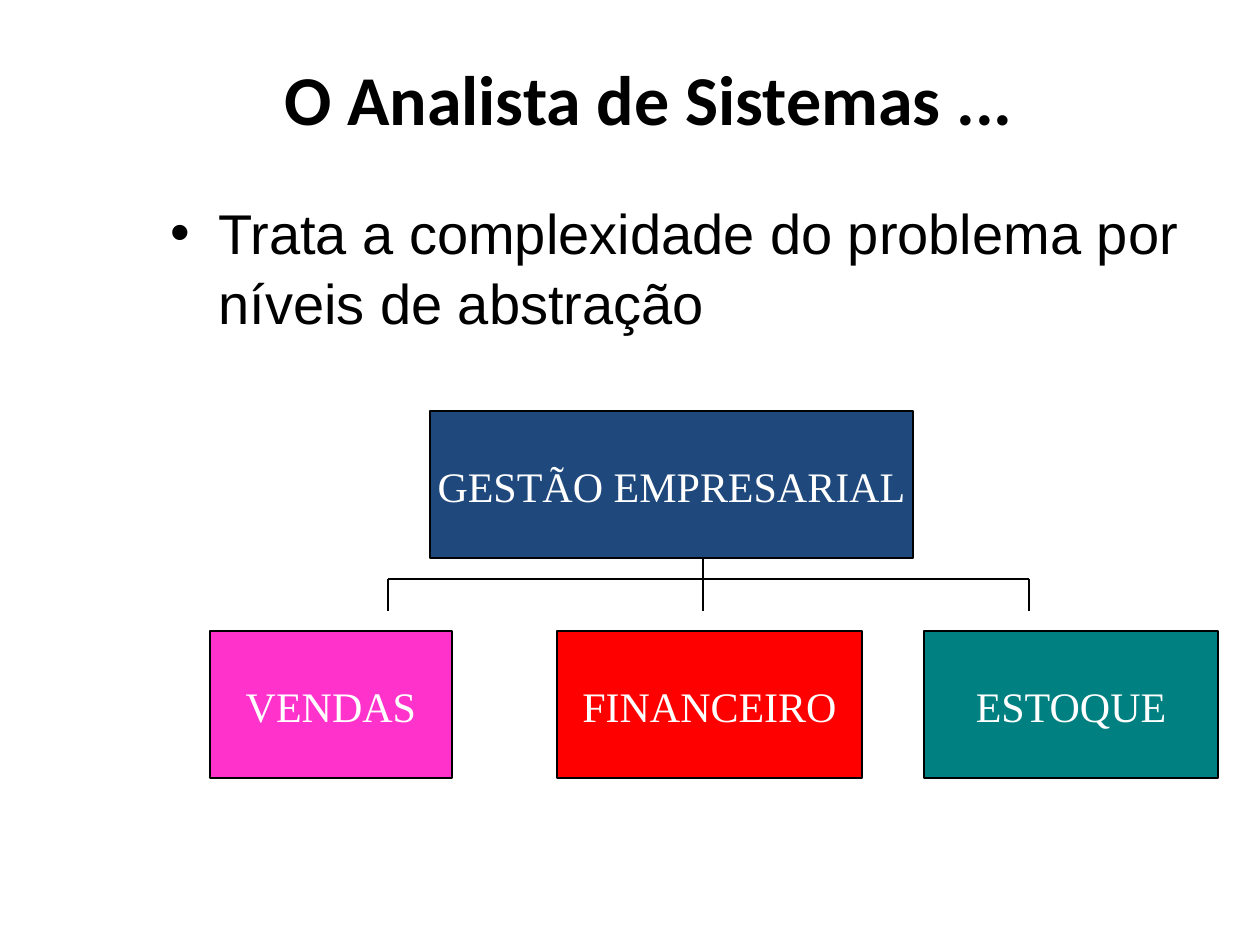
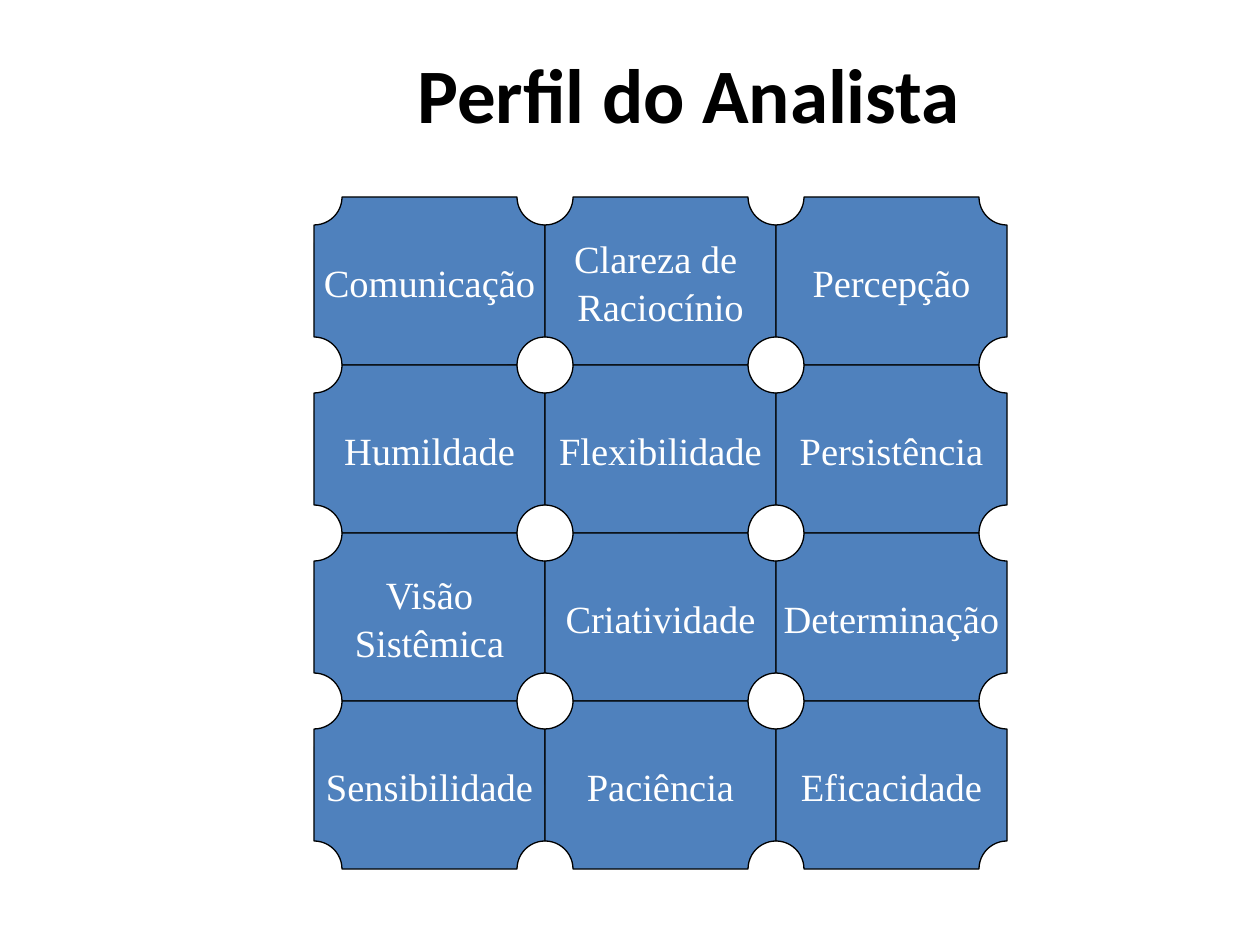
from dataclasses import dataclass
from itertools import product

from lxml.etree import SubElement
from pptx import Presentation
from pptx.dml.color import RGBColor
from pptx.enum.shapes import MSO_CONNECTOR as Connector, MSO_SHAPE as Shape
from pptx.enum.text import MSO_ANCHOR as Anchor, MSO_AUTO_SIZE as AutoSize, PP_ALIGN as Align
from pptx.oxml.ns import qn
from pptx.util import Emu, Inches, Pt

PX_PER_INCH = 126
PAGE_WIDTH, PAGE_HEIGHT = 1260, 945
BLACK, WHITE = "000000", "FFFFFF"
NAVY, PINK, RED, TEAL, BLUE = "1F497D", "FF33CC", "FF0000", "008080", "4F81BD"
HEADING_FONT, BODY_FONT, LABEL_FONT = "Calibri", "Arial", "Times New Roman"
LINE_WIDTH = 0.75
LINE_SPACING = 1.04
BULLET_INDENT = 48

BOX_HEIGHT = 147
PARENT_TOP, CHILD_TOP = 411, 631
BRANCH_TOP, BRANCH_BOTTOM = 579, 611
BRANCH_XS = (388, 703, 1029)

GRID_LEFT, GRID_TOP = 314, 197
CELL_WIDTH, CELL_HEIGHT = 231, 168
PROFILE = (
    ("Comunicação", "Clareza de \nRaciocínio", "Percepção"),
    ("Humildade", "Flexibilidade", "Persistência"),
    ("Visão\nSistêmica", "Criatividade", "Determinação"),
    ("Sensibilidade", "Paciência", "Eficacidade"),
)


@dataclass(frozen=True)
class Area:
    left: int
    top: int
    width: int
    height: int


@dataclass(frozen=True)
class Block:
    text: str
    area: Area
    fill: str
    size: int = 24
    outline: Shape = Shape.RECTANGLE


@dataclass(frozen=True)
class Branch:
    start: tuple[int, int]
    end: tuple[int, int]


AREAS = (
    Block("GESTÃO EMPRESARIAL", Area(430, PARENT_TOP, 483, BOX_HEIGHT), NAVY),
    Block("VENDAS", Area(210, CHILD_TOP, 242, BOX_HEIGHT), PINK),
    Block("FINANCEIRO", Area(557, CHILD_TOP, 305, BOX_HEIGHT), RED),
    Block("ESTOQUE", Area(924, CHILD_TOP, 294, BOX_HEIGHT), TEAL),
)


def px(length: int) -> Emu:
    return Emu(round(length * Inches(1) / PX_PER_INCH))


def color(value: str) -> RGBColor:
    return RGBColor.from_string(value)


def bounds(area: Area) -> tuple[Emu, ...]:
    return tuple(px(side) for side in (area.left, area.top, area.width, area.height))


def write(frame, text: str, *, size: int, font: str, ink: str = BLACK, bold: bool = False,
          align: Align = Align.CENTER, anchor: Anchor = Anchor.MIDDLE, wrap: bool = True,
          spacing: float = LINE_SPACING) -> None:
    frame.auto_size = AutoSize.NONE
    frame.word_wrap = wrap
    frame.vertical_anchor = anchor
    for index, line in enumerate(text.split("\n")):
        para = frame.add_paragraph() if index else frame.paragraphs[0]
        para.alignment = align
        para.line_spacing = spacing
        span = para.add_run()
        span.text = line
        span.font.size = Pt(size)
        span.font.name = font
        span.font.bold = bold
        span.font.color.rgb = color(ink)


def add_page(deck, title: str, area: Area, size: int):
    page = deck.slides.add_slide(deck.slide_layouts[5])
    heading = page.shapes.title
    heading.left, heading.top, heading.width, heading.height = bounds(area)
    write(heading.text_frame, title, size=size, font=HEADING_FONT, bold=True, spacing=1.0)
    return page


def add_bullet(page, text: str, area: Area) -> None:
    box = page.shapes.add_textbox(*bounds(area))
    write(box.text_frame, text, size=32, font=BODY_FONT, align=Align.LEFT, anchor=Anchor.TOP)
    para = box.text_frame.paragraphs[0]
    para.space_before = Pt(8)
    settings = para._p.get_or_add_pPr()
    settings.set("marL", str(px(BULLET_INDENT)))
    settings.set("indent", str(-px(BULLET_INDENT)))
    SubElement(SubElement(settings, qn("a:buClr")), qn("a:srgbClr"), val=BLACK)
    SubElement(settings, qn("a:buFont"), typeface=BODY_FONT)
    SubElement(settings, qn("a:buChar"), char="•")


def add_block(page, block: Block) -> None:
    shape = page.shapes.add_shape(block.outline, *bounds(block.area))
    shape.shadow.inherit = False
    shape.fill.solid()
    shape.fill.fore_color.rgb = color(block.fill)
    shape.line.color.rgb = color(BLACK)
    shape.line.width = Pt(LINE_WIDTH)
    write(shape.text_frame, block.text, size=block.size, font=LABEL_FONT, ink=WHITE, wrap=False)


def add_branch(page, branch: Branch) -> None:
    ends = [px(value) for value in branch.start + branch.end]
    line = page.shapes.add_connector(Connector.STRAIGHT, *ends)
    line.line.color.rgb = color(BLACK)
    line.line.width = Pt(LINE_WIDTH)
    SubElement(line._element.spPr, qn("a:effectLst"))


def build_abstraction(deck) -> None:
    page = add_page(deck, "O Analista de Sistemas ...", Area(113, 55, 1071, 84), 40)
    add_bullet(page, "Trata a complexidade do problema por níveis de abstração",
               Area(158, 190, 1071, 599))
    for block in AREAS:
        add_block(page, block)
    left, middle, right = BRANCH_XS
    add_branch(page, Branch((left, BRANCH_TOP), (right, BRANCH_TOP)))
    for x in BRANCH_XS:
        top = PARENT_TOP + BOX_HEIGHT if x == middle else BRANCH_TOP
        add_branch(page, Branch((x, top), (x, BRANCH_BOTTOM)))


def build_profile(deck) -> None:
    page = add_page(deck, "Perfil do Analista", Area(233, 35, 912, 116), 44)
    for row, column in product(range(len(PROFILE)), range(len(PROFILE[0]))):
        area = Area(GRID_LEFT + column * CELL_WIDTH, GRID_TOP + row * CELL_HEIGHT,
                    CELL_WIDTH, CELL_HEIGHT)
        add_block(page, Block(PROFILE[row][column], area, BLUE, 22, Shape.PLAQUE))


def main() -> None:
    deck = Presentation()
    deck.slide_width, deck.slide_height = px(PAGE_WIDTH), px(PAGE_HEIGHT)
    build_abstraction(deck)
    build_profile(deck)
    deck.save("out.pptx")


if __name__ == "__main__":
    main()
